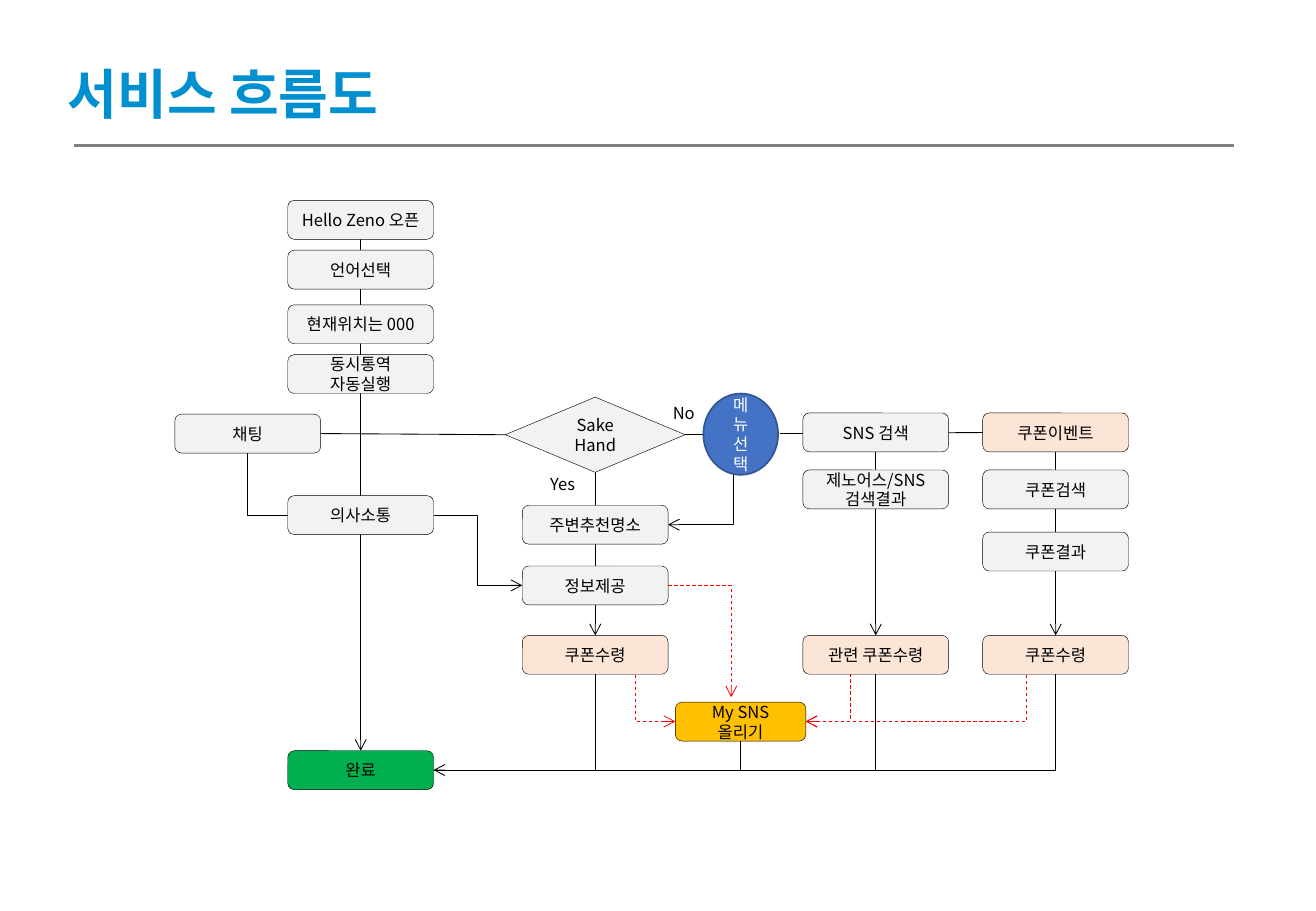
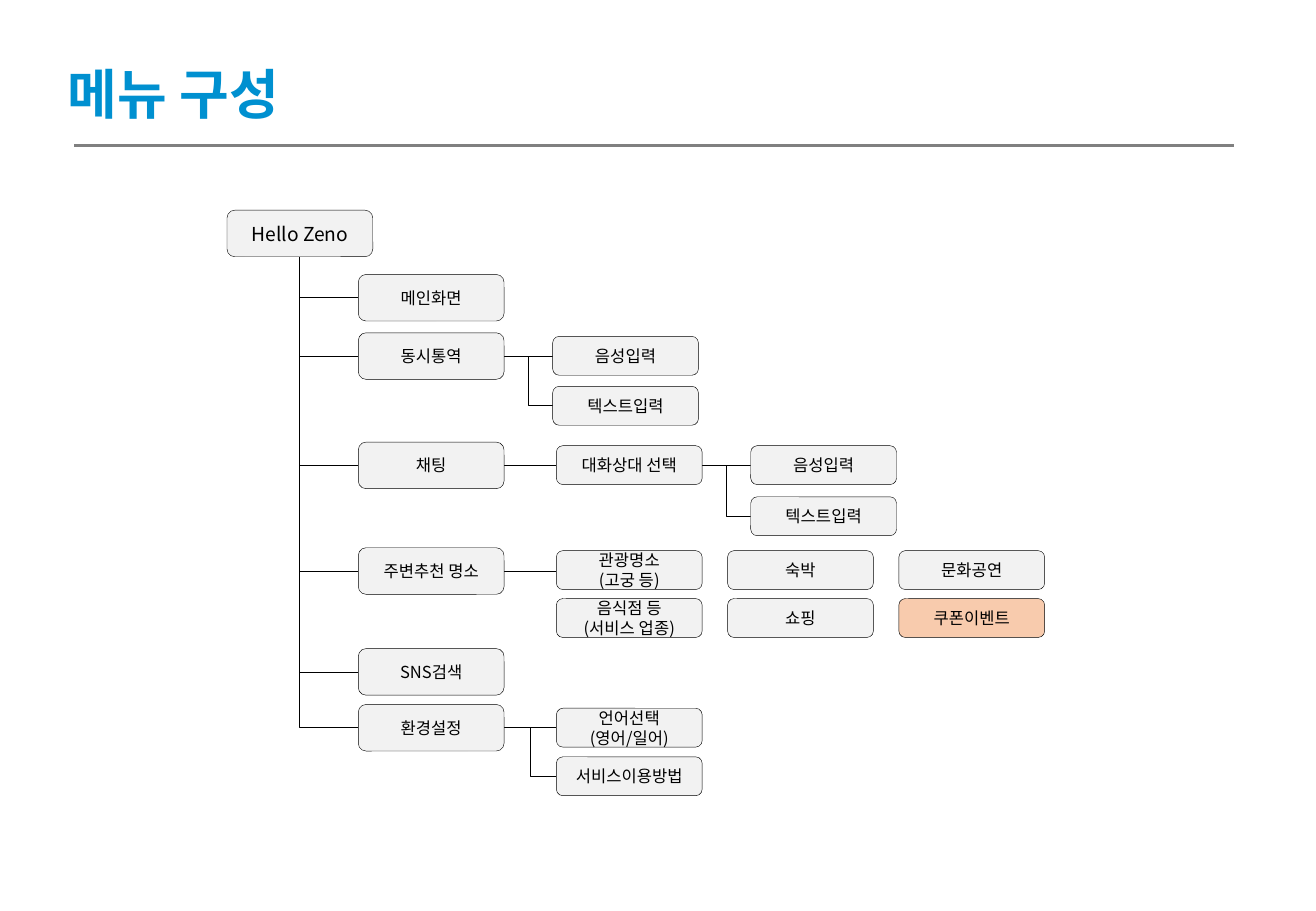
from dataclasses import dataclass
from typing import Optional

import lxml.etree
import pptx
import pptx.dml.color
import pptx.enum.dml
import pptx.enum.shapes
import pptx.enum.text
import pptx.oxml.ns
import pptx.util

Pt = pptx.util.Pt
qn = pptx.oxml.ns.qn
SHAPE = pptx.enum.shapes.MSO_SHAPE
CONNECTOR = pptx.enum.shapes.MSO_CONNECTOR
ALIGN = pptx.enum.text.PP_ALIGN
ANCHOR = pptx.enum.text.MSO_ANCHOR

COLORS = {
    "title": "0090D0", "rule": "808080", "ink": "000000", "paper": "FFFFFF",
    "step": "F2F2F2", "coupon": "FBE5D6", "event": "F8CBAD", "finish": "00B050",
    "share": "FFC000", "menu": "4472C4", "menu_edge": "325491", "alert": "FF0000",
}
BODY_FONT = "Noto Sans CJK KR"
TITLE_FONT = "Calibri"
BOX_WIDTH, BOX_HEIGHT, TALL = 86.4, 23.04, 27.6


@dataclass
class Box:
    text: str
    left: float
    top: float
    fill: str = "step"
    height: float = BOX_HEIGHT
    width: float = BOX_WIDTH
    shape: int = SHAPE.ROUNDED_RECTANGLE
    edge: str = "ink"
    edge_width: float = 0.25
    ink: str = "ink"
    size: float = 9.8


@dataclass
class Link:
    """Straight line, corner (across, then up or down), or step through x = middle."""
    x1: float
    y1: float
    x2: float
    y2: float
    corner: bool = False
    middle: Optional[float] = None
    arrow: str = ""
    color: str = "ink"
    width: float = 0.5
    dashed: bool = False


def color(name: str) -> pptx.dml.color.RGBColor:
    return pptx.dml.color.RGBColor.from_string(COLORS[name])


def write(frame, text: str, size: float, ink: str, align, font: str = BODY_FONT,
          bold: bool = False) -> None:
    for index, line in enumerate(text.split("\n")):
        para = frame.add_paragraph() if index else frame.paragraphs[0]
        para.alignment = align
        span = para.add_run()
        span.text = line
        span.font.name, span.font.size, span.font.bold = font, Pt(size), bold
        span.font.color.rgb = color(ink)
        if font == BODY_FONT:
            lxml.etree.SubElement(span.font._element, qn("a:ea"), typeface=font)


def draw_box(page, box: Box) -> None:
    shape = page.shapes.add_shape(box.shape, Pt(box.left), Pt(box.top),
                                  Pt(box.width), Pt(box.height))
    shape.shadow.inherit = False
    shape.fill.solid()
    shape.fill.fore_color.rgb = color(box.fill)
    shape.line.color.rgb = color(box.edge)
    shape.line.width = Pt(box.edge_width)
    shape.text_frame.word_wrap = True
    shape.text_frame.vertical_anchor = ANCHOR.MIDDLE
    write(shape.text_frame, box.text, box.size, box.ink, ALIGN.CENTER)


def draw_link(page, link: Link) -> None:
    bent = link.corner or link.middle is not None
    kind = CONNECTOR.ELBOW if bent else CONNECTOR.STRAIGHT
    line = page.shapes.add_connector(kind, Pt(link.x1), Pt(link.y1), Pt(link.x2), Pt(link.y2))
    line.line.color.rgb = color(link.color)
    line.line.width = Pt(link.width)
    if link.dashed:
        line.line.dash_style = pptx.enum.dml.MSO_LINE.DASH
    properties = line._element.spPr
    geometry = properties.find(qn("a:prstGeom"))
    if link.corner:
        geometry.set("prst", "bentConnector2")
    elif link.middle is not None:
        share = round((link.middle - link.x1) / (link.x2 - link.x1) * 100000)
        guides = geometry.find(qn("a:avLst"))
        lxml.etree.SubElement(guides, qn("a:gd"), name="adj1", fmla=f"val {share}")
    if link.arrow:
        lxml.etree.SubElement(properties.find(qn("a:ln")), qn(f"a:{link.arrow}End"), type="arrow")
    lxml.etree.SubElement(properties, qn("a:effectLst"))


def draw_label(page, text: str, left: float, top: float, width: float) -> None:
    label = page.shapes.add_textbox(Pt(left), Pt(top), Pt(width), Pt(19.4))
    label.text_frame.word_wrap = False
    write(label.text_frame, text, 9.8, "ink", ALIGN.LEFT)


def add_page(deck, title: str, width: float):
    page = deck.slides.add_slide(deck.slide_layouts[5])
    heading = page.shapes.title
    heading.left, heading.top, heading.width, heading.height = Pt(33), Pt(32.4), Pt(width), Pt(46)
    frame = heading.text_frame
    frame.word_wrap = False
    frame.auto_size = pptx.enum.text.MSO_AUTO_SIZE.NONE
    frame.vertical_anchor = ANCHOR.TOP
    write(frame, title, 32, "title", ALIGN.LEFT, TITLE_FONT, True)
    draw_link(page, Link(44, 86.4, 731.5, 86.4, color="rule", width=1.5))
    return page


def draw_flow(deck) -> None:
    page = add_page(deck, "서비스 흐름도", 216)
    chat, start, info, search, coupon = 103.7, 170.6, 309.6, 475.9, 582.5
    half = BOX_WIDTH / 2
    decision_y, receive_top, share_y, finish_y = 257.4, 376.6, 427.7, 456.5
    receive_bottom = receive_top + BOX_HEIGHT
    start_right, info_right = start + BOX_WIDTH, info + BOX_WIDTH
    share_left, share_right, share_x = 400.3, 477.6, 438.9

    # Main paths
    links = [
        Link(coupon + half, 267.8, coupon + half, receive_top, arrow="tail"),
        Link(search + half, 267.8, search + half, receive_top, arrow="tail"),
        Link(462.2, 257, coupon, 256.4),
        Link(info + half, 280, info + half, receive_top, arrow="tail"),
        Link(start + half, 141.8, start + half, 445, arrow="tail"),
        Link(chat + BOX_WIDTH, 257, 299.5, 257.7),
        Link(406, decision_y, info_right, 311, middle=435, arrow="tail"),
        Link(start_right, 305.3, info, 347, middle=283.3, arrow="tail"),
        Link(start, 305.3, chat + half, 268.6, corner=True),
    ]
    # Paths back to the finish
    ends = [(info + half, receive_bottom, "head"), (search + half, receive_bottom, ""),
            (coupon + half, receive_bottom, ""), (share_x, 439.2, "")]
    links += [Link(start_right, finish_y, x, y, corner=True, arrow=arrow)
              for x, y, arrow in ends]
    # Dashed sharing paths
    shares = [(share_left, 376.6), (share_right, 504), (share_right, 608.4)]
    links += [Link(edge, share_y, x, receive_bottom, corner=True, arrow="head",
                   color="alert", dashed=True) for edge, x in shares]
    links.append(Link(info_right, 347, 433.4, 413.3, corner=True, arrow="tail",
                      color="alert", dashed=True))
    for link in links:
        draw_link(page, link)

    boxes = [
        Box("Hello Zeno 오픈", start, 118.8),
        Box("언어선택", start, 148.3),
        Box("현재위치는 000", start, 180.7),
        Box("동시통역 자동실행", start, 210.2),
        Box("의사소통", start, 293.8),
        Box("완료", start, 445, "finish"),
        Box("채팅", chat, 245.5),
        Box("Sake Hand", 299.5, 235.4, height=44.6, width=106.6,
            shape=SHAPE.FLOWCHART_DECISION),
        Box("주변추천명소", info, 299.5),
        Box("정보제공", info, 335.5),
        Box("쿠폰수령", info, receive_top, "coupon"),
        Box("SNS 검색", search, 244.8),
        Box("제노어스/SNS\n검색결과", search, 278.6),
        Box("관련 쿠폰수령", search, receive_top, "coupon"),
        Box("쿠폰이벤트", coupon, 244.8, "coupon"),
        Box("쿠폰검색", coupon, 278.6),
        Box("쿠폰결과", coupon, 315.4),
        Box("쿠폰수령", coupon, receive_top, "coupon"),
        Box("메뉴선택", 416.9, 233.3, "menu", 48.2, 44.3, SHAPE.OVAL, "menu_edge", 1, "paper"),
        Box("My SNS 올리기", share_left, 416.2, "share", width=77.3),
    ]
    for box in boxes:
        draw_box(page, box)
    draw_label(page, "Yes", 319, 277.2, 29.5)
    draw_label(page, "No", 391.7, 235.4, 28)


def draw_menu(deck) -> None:
    page = add_page(deck, "메뉴 구성", 151)
    root, main, entry, detail, deep = 134.6, 212.4, 327.6, 329.8, 445
    main_right, trunk = main + BOX_WIDTH, root + BOX_WIDTH / 2
    detail_right = detail + BOX_WIDTH
    sections = {"메인화면": 162.7, "동시통역": 197.3, "채팅": 262.1,
                "주변추천 명소": 324.7, "SNS검색": 384.5, "환경설정": 417.6}
    middle = {name: top + TALL / 2 for name, top in sections.items()}

    # Trunk and branches
    links = [Link(main, middle["환경설정"], trunk, 152.2, corner=True)]
    links += [Link(trunk, y, main, y) for name, y in middle.items() if name != "환경설정"]
    # Links to the submenus
    links += [Link(main_right, middle[name], detail, middle[name])
              for name in ("채팅", "주변추천 명소")]
    forks = [(main_right, entry, middle["동시통역"], 29.5),
             (main_right, detail, middle["환경설정"], 28.8),
             (detail_right, deep, middle["채팅"], 30.2)]
    for x1, x2, y, drop in forks:
        links += [Link(x1, y, x2, y), Link(x1, y, x2, y + drop, middle=(x1 + x2) / 2)]
    for link in links:
        draw_link(page, link)

    boxes = [Box("Hello Zeno", root, 124.6, height=TALL, size=11.4)]
    boxes += [Box(name, main, top, height=TALL) for name, top in sections.items()]
    boxes += [
        Box("음성입력", entry, 199.4),
        Box("텍스트입력", entry, 229),
        Box("대화상대 선택", detail, 264.2),
        Box("음성입력", deep, 264.2),
        Box("텍스트입력", deep, 294.5),
        Box("언어선택\n(영어/일어)", detail, 419.8),
        Box("서비스이용방법", detail, 448.6),
    ]
    # Grid of nearby places
    places = [["관광명소\n(고궁 등)", "숙박", "문화공연"],
              ["음식점 등\n(서비스 업종)", "쇼핑", "쿠폰이벤트"]]
    boxes += [Box(name, detail + column * 101.5, 326.4 + row * 28.4,
                  "event" if name == "쿠폰이벤트" else "step")
              for row, names in enumerate(places) for column, name in enumerate(names)]
    for box in boxes:
        draw_box(page, box)


deck = pptx.Presentation()
deck.slide_width, deck.slide_height = Pt(780), Pt(540)
draw_flow(deck)
draw_menu(deck)
deck.save("out.pptx")
